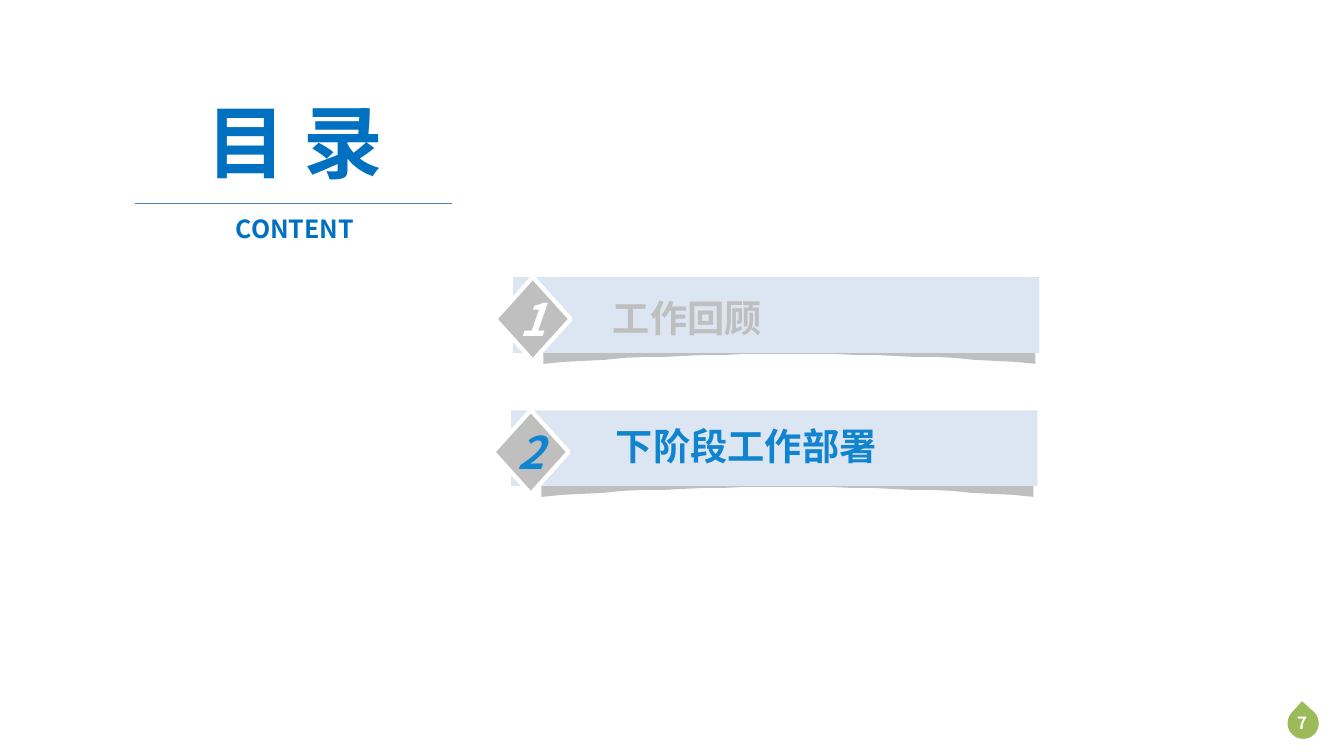
from dataclasses import dataclass

from lxml import etree
from pptx import Presentation
from pptx import util as u
from pptx.dml.color import RGBColor
from pptx.enum import shapes, text
from pptx.oxml import ns

PX = 9144


@dataclass(frozen=True)
class Theme:
    font: str = "Noto Sans CJK SC"
    title: str = "0070C0"
    rule: str = "4F81BD"
    bar: str = "DCE6F2"
    muted: str = "BFBFBF"
    active: str = "1184CF"
    white: str = "FFFFFF"
    badge: str = "9BBB59"
    title_size: float = 56.9
    subtitle_size: float = 17.8
    label_size: float = 26.6
    number_size: float = 32
    page_size: float = 12


THEME = Theme()


def px(*lengths):
    return [u.Emu(length * PX) for length in lengths]


def write(frame, words, size, color, align=text.PP_ALIGN.CENTER, italic=False):
    frame.text = words
    paragraph = frame.paragraphs[0]
    paragraph.alignment = align
    run = paragraph.runs[0]
    run.font.name = THEME.font
    run.font.size = u.Pt(size)
    run.font.bold = True
    run.font.italic = italic
    run.font.color.rgb = RGBColor.from_string(color)
    east_asian = etree.SubElement(run.font._element, ns.qn("a:ea"))
    east_asian.set("typeface", THEME.font)


def paint(shape, color):
    shape.shadow.inherit = False
    shape.fill.solid()
    shape.fill.fore_color.rgb = RGBColor.from_string(color)
    shape.line.fill.background()


def add_block(slide, kind, box, color):
    block = slide.shapes.add_shape(kind, *px(*box))
    paint(block, color)
    return block


def add_words(slide, box, words, size, color, align=text.PP_ALIGN.CENTER):
    words_box = slide.shapes.add_textbox(*px(*box))
    frame = words_box.text_frame
    frame.word_wrap = True
    write(frame, words, size, color, align)
    return frame


def add_title(slide, box, words):
    title = slide.shapes.title
    title.left, title.top, title.width, title.height = px(*box)
    frame = title.text_frame
    frame.auto_size = text.MSO_AUTO_SIZE.NONE
    frame.vertical_anchor = text.MSO_ANCHOR.TOP
    write(frame, words, THEME.title_size, THEME.title)


def add_rule(slide, left, right, y):
    rule = slide.shapes.add_connector(
        shapes.MSO_CONNECTOR.STRAIGHT, *px(left, y, right, y))
    rule.line.color.rgb = RGBColor.from_string(THEME.rule)
    rule.line.width = u.Pt(0.75)
    etree.SubElement(rule._element.spPr, ns.qn("a:effectLst"))


def add_curved_shadow(slide, left, top, width=488, height=37, rise=10, steps=24):
    bottom = top + height
    arch = []
    for step in range(steps + 1):
        offset = 2 * step / steps - 1
        arch.append((left + width * step / steps,
                     bottom - rise * (1 - offset ** 2)))
    outline = [(left, top + 9), (left + width / 2, top), (left + width, top + 9)]
    builder = slide.shapes.build_freeform(*arch[0], scale=PX)
    builder.add_line_segments(outline + arch[::-1], close=True)
    paint(builder.convert_to_shape(), THEME.muted)


def add_entry(slide, left, top, number, label, label_shift, label_color, number_color):
    add_curved_shadow(slide, left + 30, top + 49)
    add_block(slide, shapes.MSO_SHAPE.RECTANGLE, (left, top, 522, 75), THEME.bar)

    shift_x, shift_y = label_shift
    frame = add_words(slide, (left + shift_x, top + shift_y, 443, 55), label,
                      THEME.label_size, label_color, text.PP_ALIGN.LEFT)
    frame.auto_size = text.MSO_AUTO_SIZE.SHAPE_TO_FIT_TEXT

    marker = add_block(slide, shapes.MSO_SHAPE.DIAMOND,
                       (left - 18, top, 75, 83), THEME.muted)
    marker.line.color.rgb = RGBColor.from_string(THEME.white)
    marker.line.width = u.Pt(3)
    marker.text_frame.word_wrap = False
    marker.text_frame.vertical_anchor = text.MSO_ANCHOR.MIDDLE
    write(marker.text_frame, number, THEME.number_size, number_color, italic=True)


def add_page_badge(slide, number):
    drop = add_block(slide, shapes.MSO_SHAPE.TEAR, (1277, 702, 31, 31), THEME.badge)
    drop.rotation = 311.9
    frame = add_words(slide, (1269, 701, 45, 46), number,
                      THEME.page_size, THEME.white)
    frame.margin_left, frame.margin_right = px(11, 11)
    frame.margin_top, frame.margin_bottom = px(6, 6)


def main():
    deck = Presentation()
    deck.slide_width, deck.slide_height = px(1333, 750)
    slide = deck.slides.add_slide(deck.slide_layouts[5])

    add_page_badge(slide, "7")
    add_title(slide, (137, 87, 311, 170), "目 录")
    add_words(slide, (137, 207, 311, 68), "CONTENT",
              THEME.subtitle_size, THEME.title)
    add_rule(slide, 134, 448, 202)
    add_entry(slide, 509, 275, "1", "工作回顾", (89, 13), THEME.muted, THEME.white)
    add_entry(slide, 507, 407, "2", "下阶段工作部署", (94, 8), THEME.active, THEME.active)

    deck.save("out.pptx")


if __name__ == "__main__":
    main()
